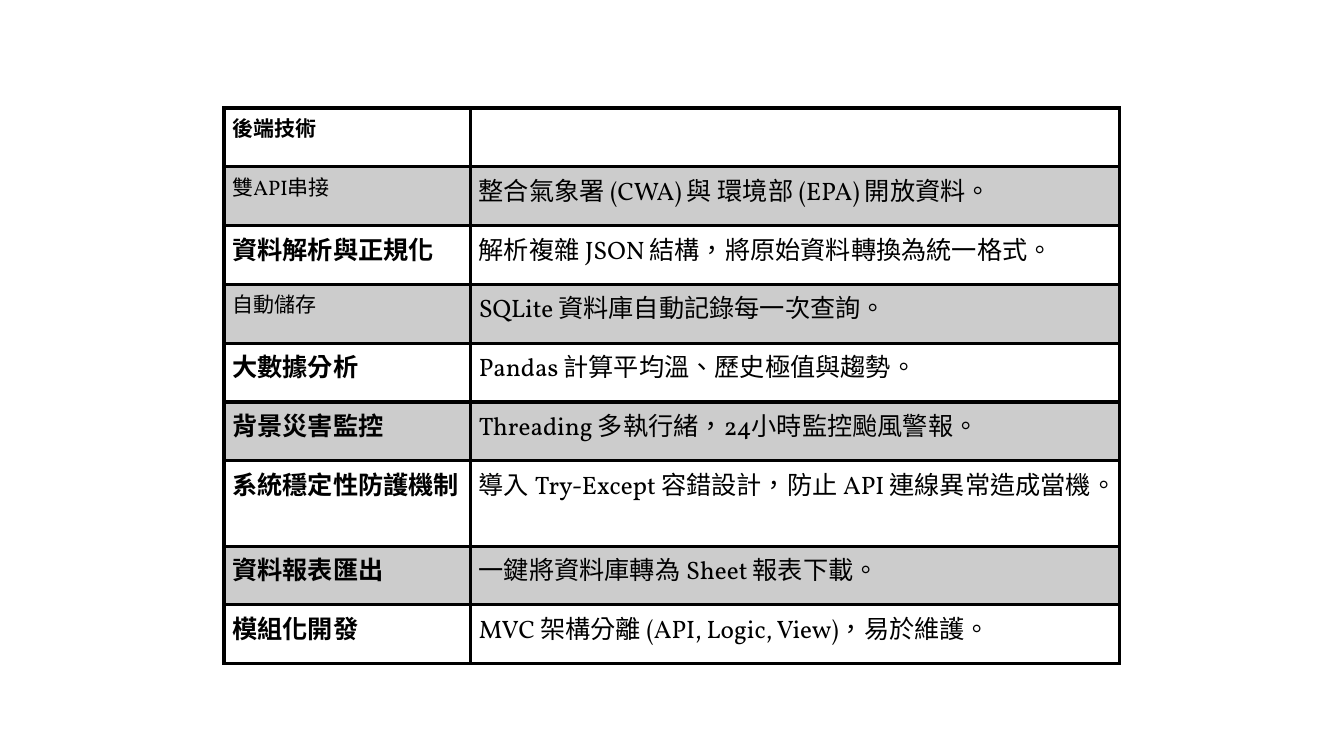
import pptx
import pptx.dml.color
import pptx.oxml
import pptx.oxml.ns
import pptx.util
from dataclasses import dataclass


@dataclass(frozen=True)
class Theme:
    font: str = "Vollkorn"
    ink: str = "000000"
    band_opacity: int = 20
    border_width: float = 3
    small_size: float = 18
    body_size: float = 21.6


THEME = Theme()
BLANK_LAYOUT = 6

# Slide size and table grid, as shares of the slide
SLIDE_WIDTH = pptx.util.Inches(16)
SLIDE_HEIGHT = pptx.util.Inches(9)
TABLE_LEFT = SLIDE_WIDTH / 6
TABLE_TOP = SLIDE_HEIGHT / 7
TABLE_WIDTH = SLIDE_WIDTH * 2 / 3
TABLE_HEIGHT = SLIDE_HEIGHT * 0.7
LABEL_SHARE = 0.275

TECHNOLOGIES = [
    ("後端技術", ""),
    ("雙API串接", "整合氣象署 (CWA) 與 環境部 (EPA) 開放資料。"),
    ("資料解析與正規化", "解析複雜 JSON 結構，將原始資料轉換為統一格式。"),
    ("自動儲存", "SQLite 資料庫自動記錄每一次查詢。"),
    ("大數據分析", "Pandas 計算平均溫、歷史極值與趨勢。"),
    ("背景災害監控", "Threading 多執行緒，24小時監控颱風警報。"),
    ("系統穩定性防護機制", "導入 Try-Except 容錯設計，防止 API 連線異常造成當機。"),
    ("資料報表匯出", "一鍵將資料庫轉為 Sheet 報表下載。"),
    ("模組化開發", "MVC 架構分離 (API, Logic, View)，易於維護。"),
]
SMALL_LABELS = {"後端技術", "雙API串接", "自動儲存"}
PLAIN_LABELS = {"雙API串接", "自動儲存"}


def set_text(cell, text, size, bold):
    cell.text_frame.text = text
    for run in cell.text_frame.paragraphs[0].runs:
        run.font.name = THEME.font
        run.font.size = pptx.util.Pt(size)
        run.font.bold = bold
        run.font.color.rgb = pptx.dml.color.RGBColor.from_string(THEME.ink)
        run._r.get_or_add_rPr().set("lang", "zh-TW")


def set_borders(cell):
    properties = cell._tc.get_or_add_tcPr()
    width = pptx.util.Pt(THEME.border_width)
    namespace = pptx.oxml.ns.nsdecls("a")
    for position, side in enumerate(("lnL", "lnR", "lnT", "lnB")):
        line = pptx.oxml.parse_xml(
            f'<a:{side} {namespace} w="{width}"><a:solidFill>'
            f'<a:srgbClr val="{THEME.ink}"/></a:solidFill></a:{side}>')
        properties.insert(position, line)


def set_fill(cell, banded):
    if not banded:
        cell.fill.background()
        return
    cell.fill.solid()
    cell.fill.fore_color.rgb = pptx.dml.color.RGBColor.from_string(THEME.ink)
    color = cell._tc.tcPr.find(".//" + pptx.oxml.ns.qn("a:srgbClr"))
    color.append(pptx.oxml.parse_xml(
        f'<a:alpha {pptx.oxml.ns.nsdecls("a")} val="{THEME.band_opacity * 1000}"/>'))


def add_technology_table(slide):
    row_count = len(TECHNOLOGIES)
    frame = slide.shapes.add_table(
        row_count, 2, round(TABLE_LEFT), round(TABLE_TOP),
        round(TABLE_WIDTH), round(TABLE_HEIGHT))
    table = frame.table
    table.first_row = table.horz_banding = False
    for column, share in zip(table.columns, (LABEL_SHARE, 1 - LABEL_SHARE)):
        column.width = round(TABLE_WIDTH * share)

    for index, (label, description) in enumerate(TECHNOLOGIES):
        label_size = THEME.small_size if label in SMALL_LABELS else THEME.body_size
        label_cell, description_cell = table.rows[index].cells
        set_text(label_cell, label, label_size, label not in PLAIN_LABELS)
        set_text(description_cell, description, THEME.body_size, False)
        for cell in (label_cell, description_cell):
            set_fill(cell, banded=index % 2 == 1)
            set_borders(cell)


def main():
    presentation = pptx.Presentation()
    presentation.slide_width = SLIDE_WIDTH
    presentation.slide_height = SLIDE_HEIGHT
    slide = presentation.slides.add_slide(presentation.slide_layouts[BLANK_LAYOUT])
    add_technology_table(slide)
    presentation.save("out.pptx")


if __name__ == "__main__":
    main()
